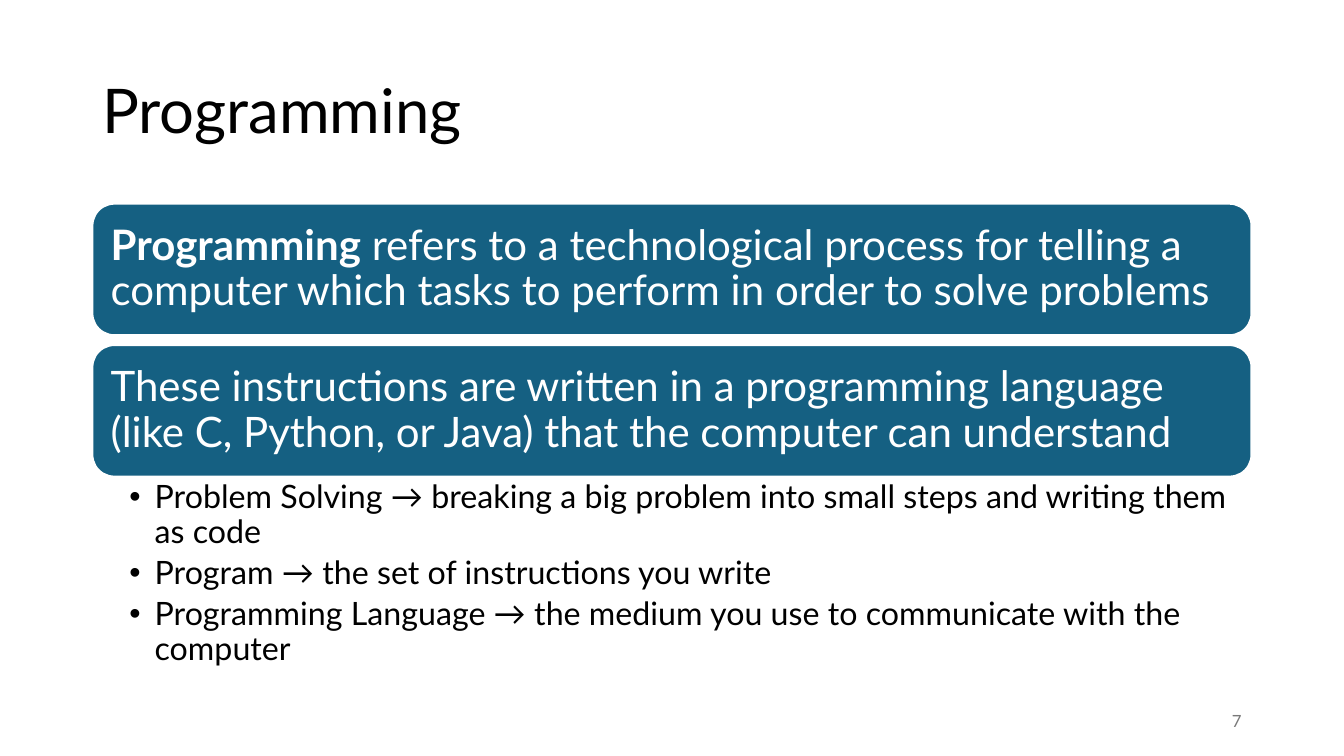
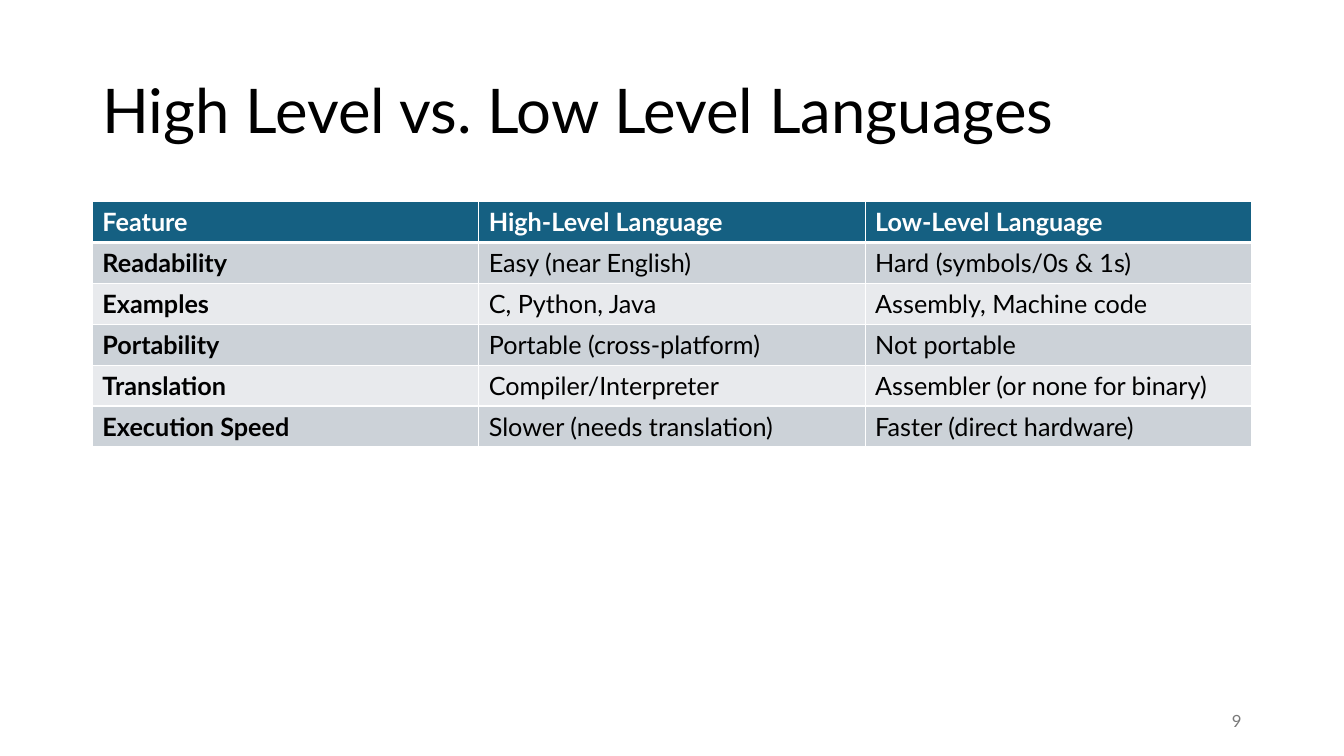
from dataclasses import dataclass

from lxml.etree import SubElement
from pptx import Presentation
from pptx.dml.color import RGBColor
from pptx.enum.shapes import MSO_SHAPE
from pptx.enum.text import MSO_ANCHOR, PP_ALIGN
from pptx.oxml.ns import qn
from pptx.util import Pt


@dataclass(frozen=True)
class Theme:
    """Colours, font and type sizes shared by the slides."""

    font: str = "Lato"
    accent: str = "156082"
    text: str = "000000"
    light: str = "FFFFFF"
    muted: str = "797979"
    bands: tuple = ("CCD2D8", "E8EAED")
    title: float = 44
    card: float = 30
    bullet: float = 23
    cell: float = 18
    footer: float = 12


THEME = Theme()
LEFT, WIDTH = 66, 828
TITLE_BOX = (LEFT, 28.8, WIDTH, 104.4)
CARDS_BOX = (LEFT, 145.5, WIDTH, 195)
BULLETS_BOX = (LEFT, 340.5, WIDTH, 144)
TABLE_BOX = (LEFT, 144, WIDTH, 175.2)
NUMBER_BOX = (678, 500.5, 216, 28.8)

CARDS = [
    [("Programming", True),
     (" refers to a technological process for telling a computer which tasks "
      "to perform in order to solve problems", False)],
    [("These instructions are written in a programming language "
      "(like C, Python, or Java) that the computer can understand", False)],
]
BULLETS = [
    "Problem Solving → breaking a big problem into small steps and writing them as code",
    "Program → the set of instructions you write",
    "Programming Language → the medium you use to communicate with the computer",
]
FEATURES = [
    ("Feature", "High-Level Language", "Low-Level Language"),
    ("Readability", "Easy (near English)", "Hard (symbols/0s & 1s)"),
    ("Examples", "C, Python, Java", "Assembly, Machine code"),
    ("Portability", "Portable (cross-platform)", "Not portable"),
    ("Translation", "Compiler/Interpreter", "Assembler (or none for binary)"),
    ("Execution Speed", "Slower (needs translation)", "Faster (direct hardware)"),
]


def rgb(color):
    """Turn a hex string into a colour."""
    return RGBColor.from_string(color)


def style_run(r, size, color, bold=False):
    """Apply the theme font with a size, colour and weight."""
    r.font.name = THEME.font
    r.font.size = Pt(size)
    r.font.color.rgb = rgb(color)
    r.font.bold = bold


def add_text(slide, box, lines, size, color, anchor=MSO_ANCHOR.MIDDLE):
    """Add a wrapping text box with one paragraph per line."""
    tf = slide.shapes.add_textbox(*map(Pt, box)).text_frame
    tf.word_wrap = True
    tf.vertical_anchor = anchor
    tf.text = "\n".join(lines)
    for p in tf.paragraphs:
        style_run(p.runs[0], size, color)
    return tf


def add_frame(prs, title, number):
    """Add a blank slide with its title and slide number."""
    slide = prs.slides.add_slide(prs.slide_layouts[6])
    tf = add_text(slide, TITLE_BOX, [title], THEME.title, THEME.text)
    tf.paragraphs[0].line_spacing = 0.9
    tf = add_text(slide, NUMBER_BOX, [str(number)], THEME.footer, THEME.muted)
    tf.paragraphs[0].alignment = PP_ALIGN.RIGHT
    return slide


def add_cards(slide, box, cards, gap=7):
    """Stack equal rounded cards in the box."""
    left, top, width, height = box
    card_height = (height - gap * (len(cards) - 1)) / len(cards)
    for i, parts in enumerate(cards):
        y = top + i * (card_height + gap)
        sp = slide.shapes.add_shape(
            MSO_SHAPE.ROUNDED_RECTANGLE, Pt(left), Pt(y), Pt(width), Pt(card_height))
        sp.shadow.inherit = False
        sp.fill.solid()
        sp.fill.fore_color.rgb = rgb(THEME.accent)
        sp.line.color.rgb = rgb(THEME.light)
        sp.line.width = Pt(1.5)
        tf = sp.text_frame
        tf.word_wrap = True
        tf.vertical_anchor = MSO_ANCHOR.MIDDLE
        tf.margin_left = tf.margin_right = Pt(8.5)
        p = tf.paragraphs[0]
        p.alignment = PP_ALIGN.LEFT
        p.line_spacing = 0.9
        for text, bold in parts:
            r = p.add_run()
            r.text = text
            style_run(r, THEME.card, THEME.light, bold)


def add_bullets(slide, box, lines):
    """Add a bulleted list with hanging indents."""
    tf = add_text(slide, box, lines, THEME.bullet, THEME.text, MSO_ANCHOR.TOP)
    tf.margin_left, tf.margin_right = Pt(26.5), Pt(16.5)
    tf.margin_top = tf.margin_bottom = Pt(3)
    for p in tf.paragraphs:
        p.line_spacing = 0.9
        p.space_after = Pt(4.5)
        pPr = p._p.get_or_add_pPr()
        pPr.set("marL", str(Pt(18)))
        pPr.set("indent", str(Pt(-18)))
        SubElement(pPr, qn("a:buFont"), typeface="Arial")
        SubElement(pPr, qn("a:buChar"), char="•")


def set_borders(cell, widths):
    """Draw light cell borders, widths given by side."""
    tcPr = cell._tc.get_or_add_tcPr()
    for side, width in widths.items():
        ln = SubElement(tcPr, qn(f"a:ln{side}"), w=str(Pt(width)))
        fill = SubElement(ln, qn("a:solidFill"))
        SubElement(fill, qn("a:srgbClr"), val=THEME.light)


def add_feature_table(slide, box, rows):
    """Add a table with a header row, bold first column and banded rows."""
    left, top, width, height = box
    table = slide.shapes.add_table(
        len(rows), len(rows[0]), Pt(left), Pt(top), Pt(width), Pt(height)).table
    for row in table.rows:
        row.height = Pt(height / len(rows))
    for i, row in enumerate(rows):
        header = i == 0
        fill = THEME.accent if header else THEME.bands[(i - 1) % 2]
        color = THEME.light if header else THEME.text
        for j, text in enumerate(row):
            cell = table.cell(i, j)
            cell.text = text
            cell.vertical_anchor = MSO_ANCHOR.MIDDLE
            style_run(cell.text_frame.paragraphs[0].runs[0],
                      THEME.cell, color, header or j == 0)
            set_borders(cell, {"L": 1, "R": 1, "T": 3 if i == 1 else 1,
                               "B": 3 if header else 1})
            cell.fill.solid()
            cell.fill.fore_color.rgb = rgb(fill)


def build_programming(prs):
    """Build the slide that defines programming."""
    slide = add_frame(prs, "Programming", 7)
    add_cards(slide, CARDS_BOX, CARDS)
    add_bullets(slide, BULLETS_BOX, BULLETS)


def build_comparison(prs):
    """Build the slide that compares language levels."""
    slide = add_frame(prs, "High Level vs. Low Level Languages", 9)
    add_feature_table(slide, TABLE_BOX, FEATURES)


def main():
    """Build and save the presentation."""
    prs = Presentation()
    prs.slide_width, prs.slide_height = Pt(960), Pt(540)
    build_programming(prs)
    build_comparison(prs)
    prs.save("out.pptx")


if __name__ == "__main__":
    main()
